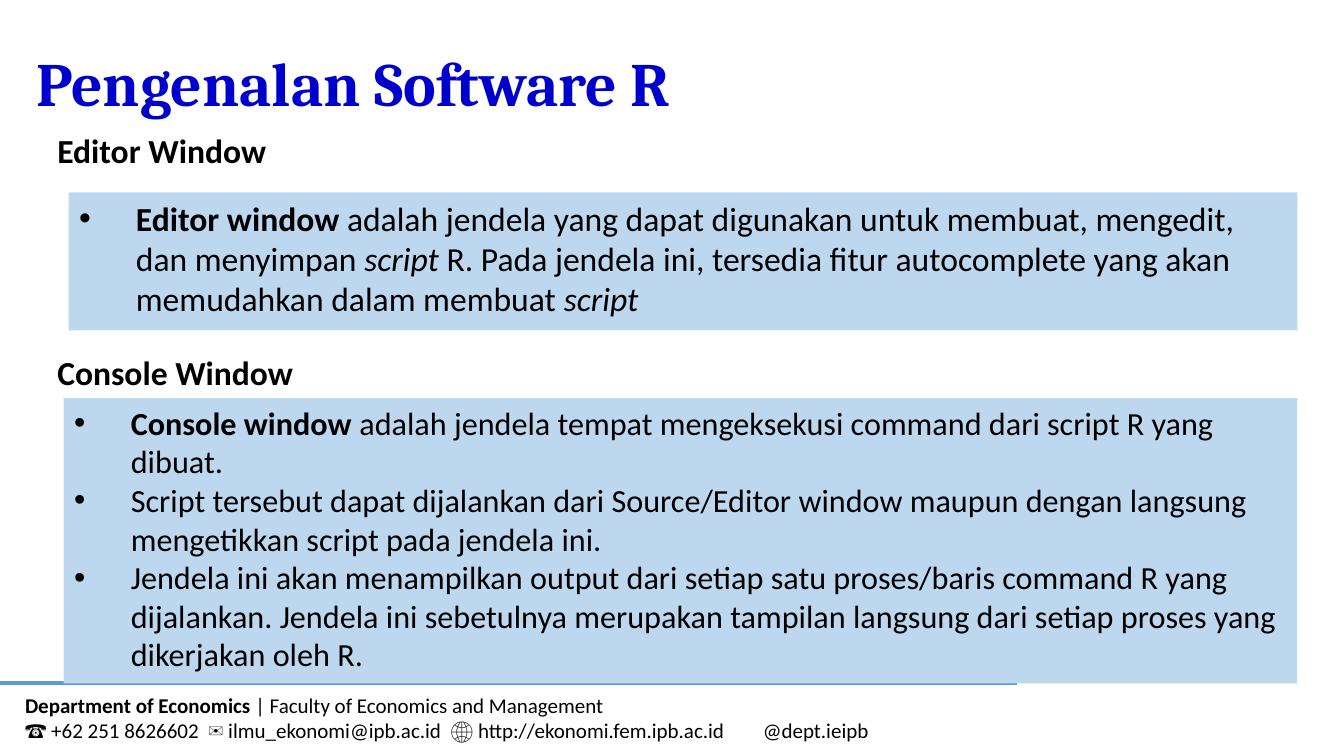
from lxml.etree import SubElement
from pptx import Presentation
from pptx.dml.color import RGBColor
from pptx.enum.shapes import MSO_CONNECTOR, MSO_SHAPE
from pptx.enum.text import MSO_ANCHOR, MSO_AUTO_SIZE, PP_ALIGN
from pptx.oxml.ns import qn
from pptx.util import Pt

BLACK = RGBColor(0x00, 0x00, 0x00)
TITLE_BLUE = RGBColor(0x00, 0x00, 0xCC)
PANEL_BLUE = RGBColor(0xBD, 0xD7, 0xEE)
RULE_BLUE = RGBColor(0x5B, 0x9B, 0xD5)
BODY_FONT = "Calibri"
HEADING_LEFT = 33.84
PANEL_RIGHT = 926.64

EDITOR_POINTS = [
    [("Editor window ", "b"),
     ("adalah jendela yang dapat digunakan untuk membuat, mengedit, dan menyimpan ", ""),
     ("script", "i"),
     (" R. Pada jendela ini, tersedia fitur autocomplete yang akan memudahkan "
      "dalam membuat ", ""),
     ("script", "i")],
]
CONSOLE_POINTS = [
    [("Console window ", "b"),
     ("adalah jendela tempat mengeksekusi command dari script R yang dibuat.", "")],
    [("Script tersebut dapat dijalankan dari Source/Editor window maupun dengan "
      "langsung mengetikkan script pada jendela ini.", "")],
    [("Jendela ini akan menampilkan output dari setiap satu proses/baris command R yang "
      "dijalankan. Jendela ini sebetulnya merupakan tampilan langsung dari setiap proses "
      "yang dikerjakan oleh R.", "")],
]
FOOTER_LINES = [
    [("Department of Economics ", "b"), ("| Faculty of Economics and Management", "")],
    [("☎ +62 251 8626602\t✉ ilmu_ekonomi@ipb.ac.id\t", ""), ("🌐 ", "b"),
     ("http://ekonomi.fem.ipb.ac.id\t@dept.ieipb", "")],
]
FOOTER_TABS = (131, 304, 527)


def add_spans(para, spans, size, font=BODY_FONT, color=BLACK):
    """Add (text, style) runs, where style holds b for bold and i for italic."""
    for text, style in spans:
        span = para.add_run()
        span.text = text
        span.font.name = font
        span.font.size = Pt(size)
        span.font.color.rgb = color
        span.font.bold = "b" in style
        span.font.italic = "i" in style


def add_paragraphs(frame, count):
    return [frame.paragraphs[0]] + [frame.add_paragraph() for _ in range(count - 1)]


def add_text_box(page, left, top, width, height):
    frame = page.shapes.add_textbox(Pt(left), Pt(top), Pt(width), Pt(height)).text_frame
    frame.word_wrap = True
    frame.auto_size = MSO_AUTO_SIZE.SHAPE_TO_FIT_TEXT
    return frame


def add_bullet(para):
    properties = para._p.get_or_add_pPr()
    properties.set("marL", str(Pt(41)))
    properties.set("indent", str(Pt(-40.5)))
    SubElement(properties, qn("a:buFont"), typeface="Arial")
    SubElement(properties, qn("a:buChar"), char="•")


def add_tab_stops(para, positions):
    stops = SubElement(para._p.get_or_add_pPr(), qn("a:tabLst"))
    for position in positions:
        SubElement(stops, qn("a:tab"), pos=str(Pt(position)), algn="l")


def add_footer(page, left, top, width, height):
    rule = page.shapes.add_connector(MSO_CONNECTOR.STRAIGHT, 0, Pt(top - 3), Pt(726.5), Pt(top - 3))
    rule.line.color.rgb = RULE_BLUE
    rule.line.width = Pt(3)
    SubElement(rule._element.spPr, qn("a:effectLst"))
    frame = add_text_box(page, left, top, width, height)
    for para, spans in zip(add_paragraphs(frame, len(FOOTER_LINES)), FOOTER_LINES):
        add_tab_stops(para, FOOTER_TABS)
        add_spans(para, spans, 15)


def set_title(page, left, top, width, height):
    title = page.shapes.title
    title.left, title.top, title.width, title.height = map(Pt, (left, top, width, height))
    frame = title.text_frame
    frame.word_wrap = True
    frame.auto_size = MSO_AUTO_SIZE.NONE
    frame.vertical_anchor = MSO_ANCHOR.MIDDLE
    para = frame.paragraphs[0]
    para.alignment = PP_ALIGN.LEFT
    para.line_spacing = 0.9
    add_spans(para, [("Pengenalan Software R", "b")], 44, "Cambria", TITLE_BLUE)


def add_heading(page, text, top):
    para = add_text_box(page, HEADING_LEFT, top, 744.5, 36).paragraphs[0]
    para.alignment = PP_ALIGN.JUSTIFY
    add_spans(para, [(text, "b")], 24)


def add_panel(page, points, left, top, height, size, space_after=0):
    panel = page.shapes.add_shape(
        MSO_SHAPE.RECTANGLE, Pt(left), Pt(top), Pt(PANEL_RIGHT - left), Pt(height))
    panel.shadow.inherit = False
    panel.fill.solid()
    panel.fill.fore_color.rgb = PANEL_BLUE
    panel.line.fill.background()
    frame = panel.text_frame
    frame.word_wrap = True
    frame.vertical_anchor = MSO_ANCHOR.TOP
    for para, spans in zip(add_paragraphs(frame, len(points)), points):
        add_bullet(para)
        para.level = 1
        para.alignment = PP_ALIGN.LEFT
        para.space_after = Pt(space_after)
        add_spans(para, spans, size)


def main():
    deck = Presentation()
    deck.slide_width, deck.slide_height = Pt(960), Pt(540)
    page = deck.slides.add_slide(deck.slide_layouts[5])
    add_footer(page, 10.8, 491, 704, 44)
    set_title(page, 18.7, 9.4, 881.3, 104.4)
    add_panel(page, EDITOR_POINTS, 49, 137.5, 98.6, 24, space_after=12)
    add_heading(page, "Editor Window", 89.3)
    add_panel(page, CONSOLE_POINTS, 45.4, 284.4, 203.8, 23)
    add_heading(page, "Console Window", 247.7)
    deck.save("out.pptx")


if __name__ == "__main__":
    main()
